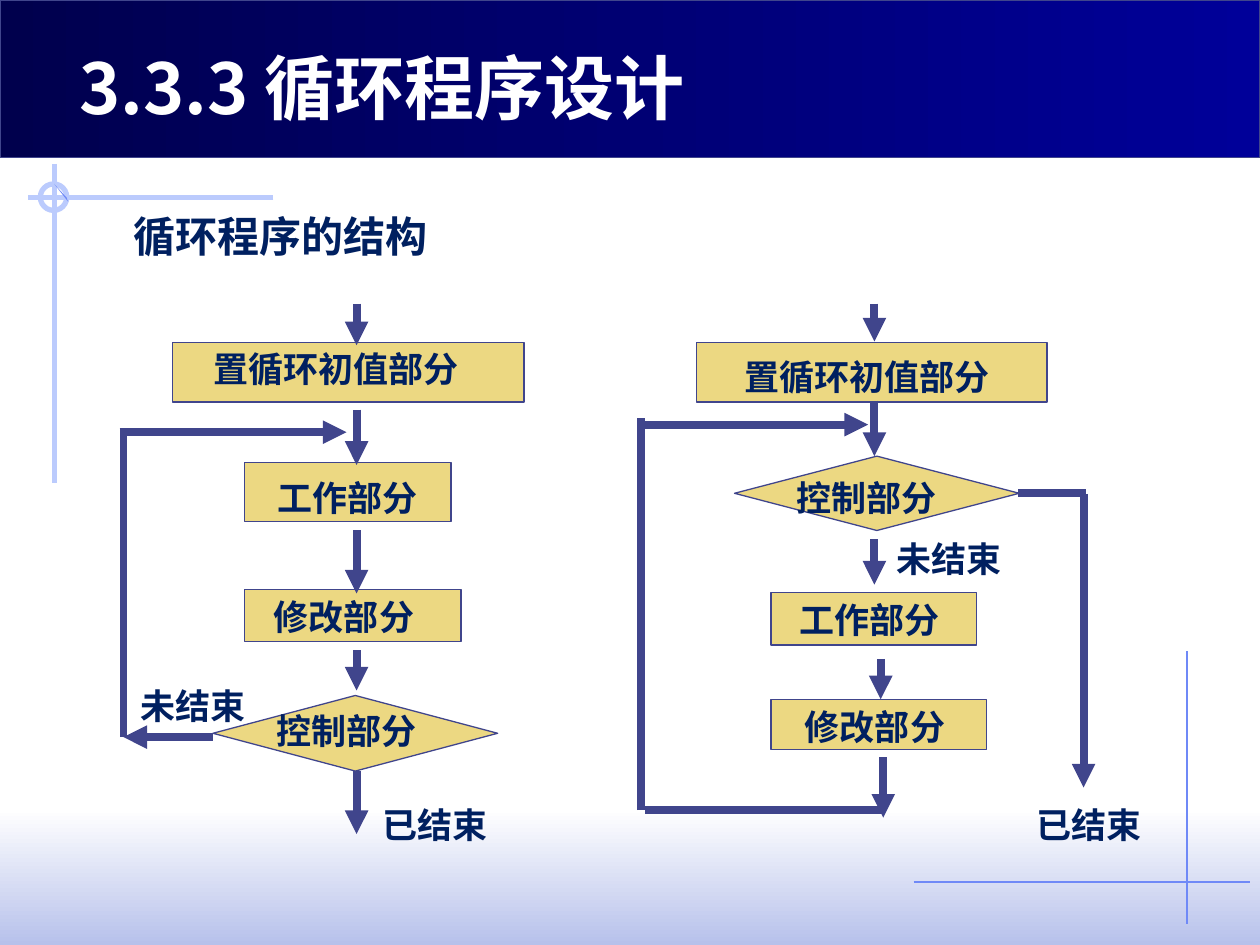
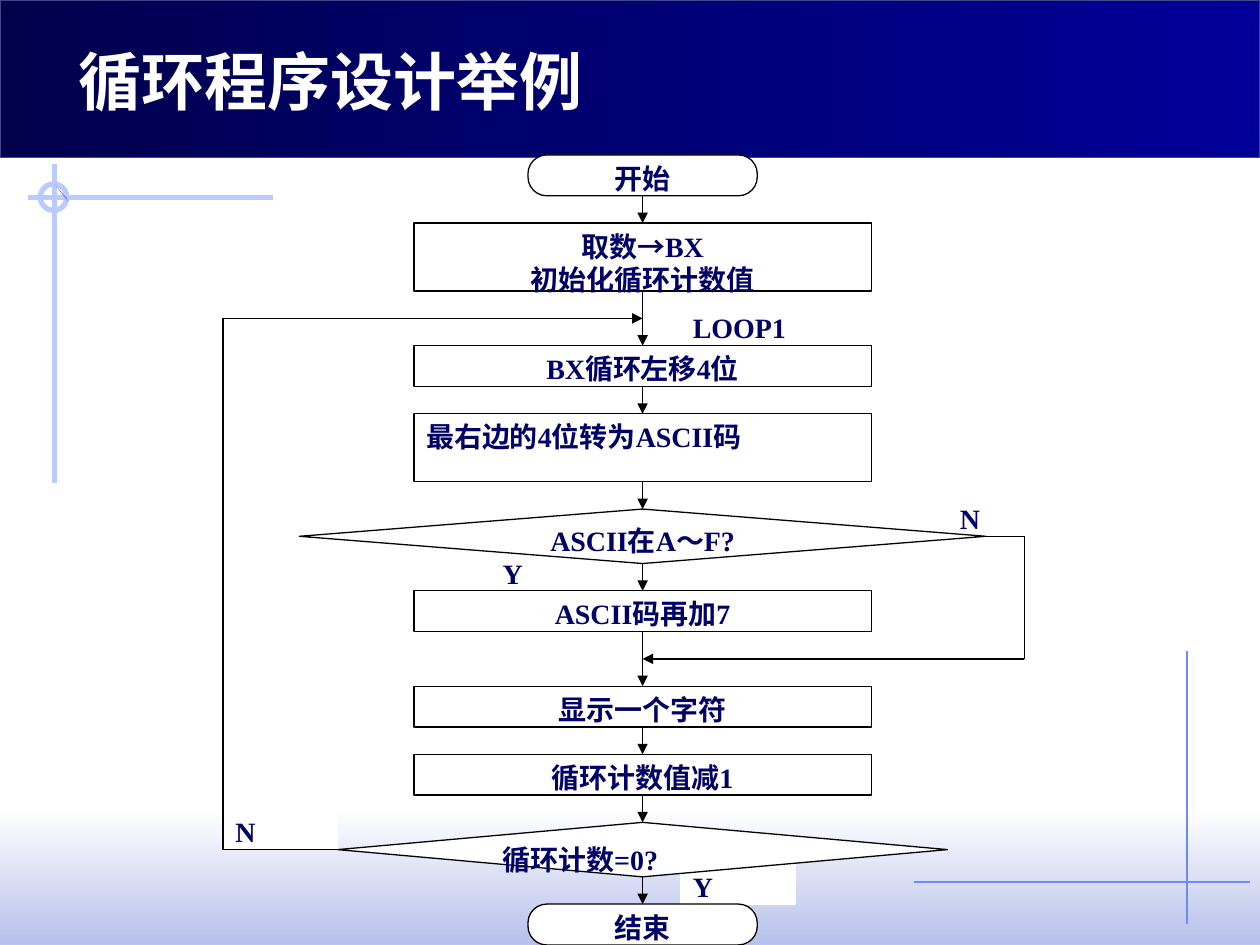
from dataclasses import dataclass

import pptx
import pptx.dml.color
import pptx.enum.shapes
import pptx.enum.text
import pptx.oxml.ns
import pptx.util
from lxml import etree

SHAPE = pptx.enum.shapes.MSO_SHAPE
ALIGN = pptx.enum.text.PP_ALIGN
COLUMNS, ROWS = 100, 75


@dataclass(frozen=True)
class Theme:
    white: str = "FFFFFF"
    black: str = "000000"
    mist: str = "B7C1EB"
    band_dark: str = "00004D"
    band_light: str = "000099"
    edge: str = "40458C"
    gold: str = "ECD882"
    ink: str = "002060"
    navy: str = "000066"
    rule: str = "6F89F7"
    cross: str = "BBCBFD"
    title_font: str = "Noto Sans CJK JP"
    cjk_font: str = "Noto Sans CJK SC"
    serif: str = "Times New Roman"
    title_size: int = 40
    small_title_size: int = 36
    heading_size: int = 24
    label_size: int = 20
    flow_size: int = 16
    thin: float = 0.75
    medium: float = 3
    thick: float = 4.5


def rgb(color):
    return pptx.dml.color.RGBColor.from_string(color)


def oxml_child(parent, tag, **attributes):
    return etree.SubElement(parent, pptx.oxml.ns.qn(tag), attributes)


class Deck:
    """Holds the theme and the current slide; lengths are grid columns and rows."""

    def __init__(self, theme):
        self.theme = theme
        self.prs = pptx.Presentation()
        self.prs.slide_width = pptx.util.Inches(10)
        self.prs.slide_height = pptx.util.Inches(7.5)
        self.s = None

    def x(self, columns):
        return round(self.prs.slide_width * columns / COLUMNS)

    def y(self, rows):
        return round(self.prs.slide_height * rows / ROWS)

    def place(self, box):
        left, top, width, height = box
        return self.x(left), self.y(top), self.x(width), self.y(height)

    def new_slide(self, title, box, size):
        t = self.theme
        self.s = self.prs.slides.add_slide(self.prs.slide_layouts[5])
        self.backdrop()
        sp = self.s.shapes.title
        sp.element.getparent().append(sp.element)  # bring in front of the band
        sp.left, sp.top, sp.width, sp.height = self.place(box)
        self.set_text(sp, title, size, t.white, t.title_font, t.title_font)

    def backdrop(self):
        t = self.theme
        self.gradient((0, 64.2, 100, 10.8), t.white, t.mist, 270)
        self.line((94.2, 51.7), (94.2, 73.3), t.rule, t.thin)
        self.line((21.7, 15.7), (2.2, 15.7), t.cross, t.medium)
        self.line((4.3, 13), (4.3, 38.3), t.cross, t.medium)
        self.shape(SHAPE.OVAL, (3.2, 14.6, 2.1, 2.1), None, t.cross, t.medium)
        self.sliver([(4.3, 14.6), (5.3, 15.7), (5.4, 16)], t.rule)
        self.gradient((0, 0, 100, 12.5), t.band_dark, t.band_light, 0, t.edge)
        self.line((72.5, 70), (99.2, 70), t.rule, t.thin)

    def shape(self, kind, box, fill, edge, weight=None):
        sp = self.s.shapes.add_shape(kind, *self.place(box))
        self.paint(sp, fill, edge, weight)
        return sp

    def paint(self, sp, fill, edge, weight=None):
        sp.shadow.inherit = False
        if fill:
            sp.fill.solid()
            sp.fill.fore_color.rgb = rgb(fill)
        else:
            sp.fill.background()
        if edge:
            sp.line.color.rgb = rgb(edge)
            sp.line.width = pptx.util.Pt(weight or self.theme.thin)
        else:
            sp.line.fill.background()

    def gradient(self, box, start, end, angle, edge=None):
        sp = self.shape(SHAPE.RECTANGLE, box, None, edge)
        sp.fill.gradient()
        sp.fill.gradient_angle = angle
        for stop, color in zip(sp.fill.gradient_stops, (start, end)):
            stop.color.rgb = rgb(color)

    def sliver(self, points, fill):
        corners = [(self.x(px), self.y(py)) for px, py in points]
        builder = self.s.shapes.build_freeform(*corners[0])
        builder.add_line_segments(corners[1:], close=True)
        self.paint(builder.convert_to_shape(), fill, None)

    def line(self, start, end, color, weight, arrow=False):
        (x1, y1), (x2, y2) = start, end
        c = self.s.shapes.add_connector(
            pptx.enum.shapes.MSO_CONNECTOR.STRAIGHT,
            self.x(x1), self.y(y1), self.x(x2), self.y(y2))
        c.line.color.rgb = rgb(color)
        c.line.width = pptx.util.Pt(weight)
        if arrow:
            ln = c.element.spPr.find(pptx.oxml.ns.qn("a:ln"))
            oxml_child(ln, "a:tailEnd", type="triangle")
        oxml_child(c.element.spPr, "a:effectLst")

    def route(self, points, color, weight):
        """Draw a bent path whose last leg ends in an arrowhead."""
        legs = list(zip(points, points[1:]))
        for i, (start, end) in enumerate(legs, 1):
            self.line(start, end, color, weight, arrow=i == len(legs))

    def text(self, box, text, size, align=ALIGN.CENTER, insets=(1, 0.5, 1, 0.5)):
        t = self.theme
        sp = self.s.shapes.add_textbox(*self.place(box))
        self.set_text(sp, text, size, t.ink, t.cjk_font, t.cjk_font, align, insets)
        return sp

    def set_text(self, sp, text, size, color, latin, east_asian,
                 align=ALIGN.LEFT, insets=(1, 0.5, 1, 0.5)):
        tf = sp.text_frame
        tf.text = text
        tf.word_wrap = True
        tf.auto_size = pptx.enum.text.MSO_AUTO_SIZE.NONE
        tf.vertical_anchor = pptx.enum.text.MSO_ANCHOR.TOP
        tf.margin_left, tf.margin_top, tf.margin_right, tf.margin_bottom = self.place(insets)
        for p in tf.paragraphs:
            p.alignment = align
            for r in p.runs:
                r.font.size = pptx.util.Pt(size)
                r.font.bold = True
                r.font.color.rgb = rgb(color)
                r.font.name = latin
                oxml_child(r._r.get_or_add_rPr(), "a:ea", typeface=east_asian)


def structure_slide(deck):
    t = deck.theme
    deck.new_slide("3.3.3 循环程序设计", (5.3, 3, 70, 7.7), t.title_size)

    init, work, change, control = "置循环初值部分", "工作部分", "修改部分", "控制部分"
    box, test = SHAPE.RECTANGLE, SHAPE.DIAMOND
    # shape, its place, label, left / top / width of the label
    steps = [
        (test, (16.9, 55.2, 22.6, 6), control, (19.9, 55.8, 15.2)),
        (box, (13.7, 27.2, 27.9, 4.7), init, (12.8, 27.1, 27.7)),
        (box, (19.4, 46.8, 17.2, 4.1), change, (20.2, 46.8, 14.2)),
        (box, (19.4, 36.7, 16.4, 4.7), work, (20.2, 37.3, 14.8)),
        (test, (58.3, 36.2, 22.6, 5.9), control, (61.2, 37.3, 15.2)),
        (box, (55.3, 27.2, 27.8, 4.7), init, (55.2, 27.7, 27.2)),
        (box, (61.2, 55.5, 17.1, 4), change, (61.8, 55.5, 15.3)),
        (box, (61.2, 47, 16.3, 4.2), work, (61, 47, 16)),
    ]
    for kind, place, label, label_place in steps:
        deck.shape(kind, place, t.gold, t.edge)
        deck.text((*label_place, 4.4), label, t.label_size)

    down_arrows = [
        (28.3, 24.1, 27.4), (28.3, 32.5, 36.9), (28.3, 42.1, 47.1),
        (28.3, 51.6, 54.8), (28.3, 61.2, 66.2),
        (69.4, 24.1, 27.1), (69.4, 31.8, 36.2), (69.4, 42.8, 46.4),
        (69.9, 52.3, 55.5), (70.1, 60.1, 64.9), (86, 39.2, 62.5),
    ]
    for column, top, bottom in down_arrows:
        deck.line((column, top), (column, bottom), t.edge, t.thick, arrow=True)

    loop_legs = [
        ((16.9, 58.5), (9.8, 58.5), True),
        ((9.8, 58.5), (9.8, 34.3), False),
        ((9.5, 34.3), (27.5, 34.3), True),
        ((51.2, 64.3), (70.1, 64.3), False),
        ((50.9, 64.3), (50.9, 33.2), False),
        ((50.9, 33.7), (68.9, 33.7), True),
        ((80.8, 39.1), (86.2, 39.1), False),
    ]
    for start, end, arrow in loop_legs:
        deck.line(start, end, t.edge, t.thick, arrow)

    for place in ((28.3, 63.3, 12.4, 4.4), (80.5, 63.3, 11.9, 4.4)):
        deck.text(place, "已结束", t.label_size)
    for place in ((10.5, 53.8, 9.7, 4.4), (70.5, 42.2, 9.7, 4.4)):
        deck.text(place, "未结束", t.label_size, insets=(0, 0.5, 0, 0.5))

    heading = deck.text((5.9, 16.2, 55.6, 5), "循环程序的结构", t.heading_size, ALIGN.LEFT)
    p = heading.text_frame.paragraphs[0]
    p._p.get_or_add_pPr().set("indent", str(deck.x(3.7)))


def example_slide(deck):
    t = deck.theme
    deck.new_slide("循环程序设计举例", (5.2, 2.9, 43, 7.1), t.small_title_size)

    axis, first_row, unit = 51, 12.3, 62.7 / 58
    box_width, end_width = 36.3, 18.2
    plain, tight, end_insets = (1, 0.5, 1, 0.5), (0.2, 0.1, 0.2, 0.1), (1, 0.1, 1, 0.5)

    def row(units):
        return first_row + units * unit

    def node(kind, place, text, edge, align, insets=plain):
        sp = deck.shape(kind, place, t.white, edge)
        if kind == SHAPE.ROUNDED_RECTANGLE:
            sp.adjustments[0] = 0.46
        deck.set_text(sp, text, t.flow_size, t.navy, t.serif, t.cjk_font, align, insets)

    # text, column, units down, width
    labels = [
        ("LOOP1", 54, 11, 18.2), ("Y", 54, 52, 9.1), ("N", 17.7, 48, 9.1),
        ("Y", 38.9, 29, 9.1), ("N", 75.2, 25, 9.1),
    ]
    for text, column, units, width in labels:
        node(SHAPE.RECTANGLE, (column, row(units), width, 3 * unit), text, t.white, ALIGN.LEFT)

    box, test, end = SHAPE.RECTANGLE, SHAPE.DIAMOND, SHAPE.ROUNDED_RECTANGLE
    mid, left = ALIGN.CENTER, ALIGN.LEFT
    # shape, text, width, height and gap below in units, alignment, insets
    steps = [
        (end, "开始", end_width, 3, 2, mid, end_insets),
        (box, "取数→BX\n初始化循环计数值", box_width, 5, 4, mid, plain),
        (box, "BX循环左移4位", box_width, 3, 2, mid, plain),
        (box, "最右边的4位转为ASCII码", box_width, 5, 2, left, plain),
        (test, "ASCII在A～F?", 54.5, 4, 2, mid, tight),
        (box, "ASCII码再加7", box_width, 3, 4, mid, plain),
        (box, "显示一个字符", box_width, 3, 2, mid, plain),
        (box, "循环计数值减1", box_width, 3, 2, mid, plain),
        (test, "循环计数=0?", 48.4, 4, 2, left, plain),
        (end, "结束", end_width, 3, 0, mid, end_insets),
    ]
    top = 0
    for kind, text, width, height, gap, align, insets in steps:
        place = (axis - width / 2, row(top), width, height * unit)
        node(kind, place, text, t.black, align, insets)
        bottom = top + height
        top = bottom + gap
        if gap:
            deck.line((axis, row(bottom)), (axis, row(top)), t.black, t.thin, arrow=True)

    repeat = [(26.8, row(51)), (17.7, row(51)), (17.7, row(12)), (axis, row(12))]
    skip = [(78.2, row(28)), (81.3, row(28)), (81.3, row(37)), (axis, row(37))]
    for points in (repeat, skip):
        deck.route(points, t.black, t.thin)


def main():
    deck = Deck(Theme())
    structure_slide(deck)
    example_slide(deck)
    deck.prs.save("out.pptx")


if __name__ == "__main__":
    main()
